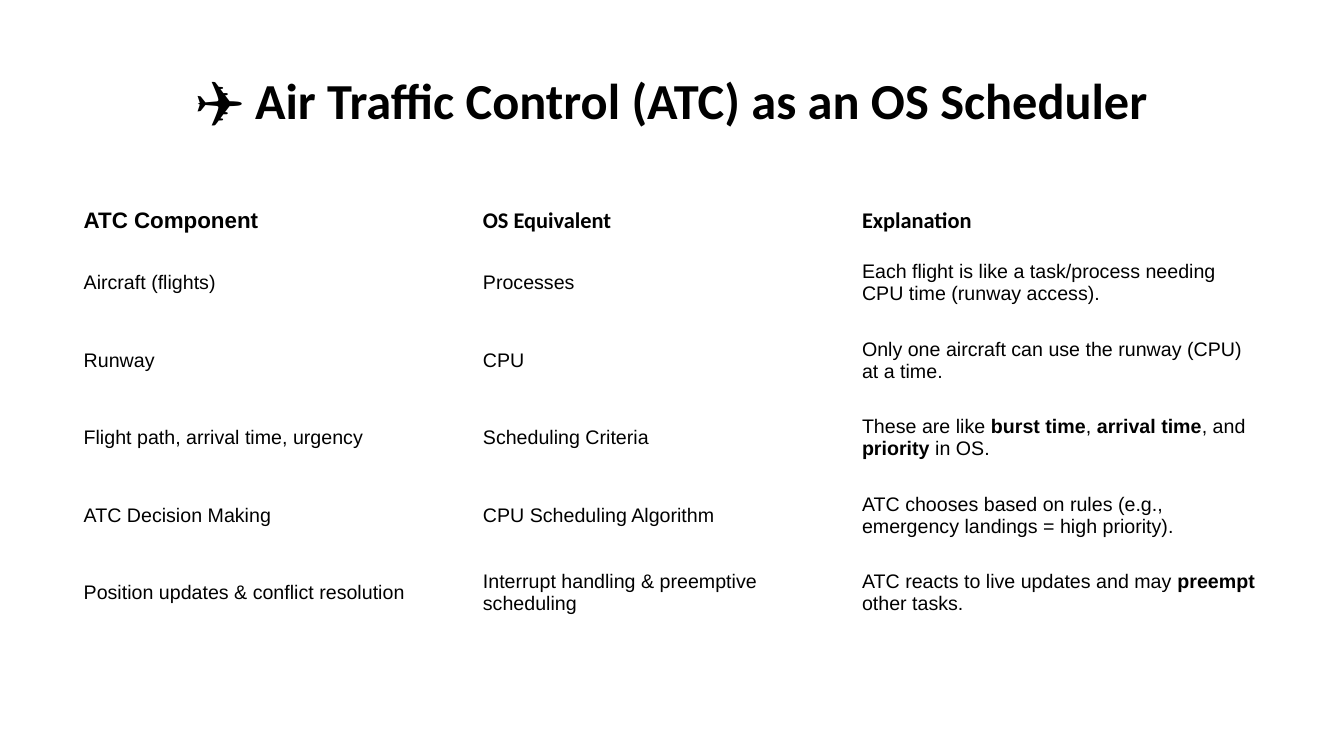
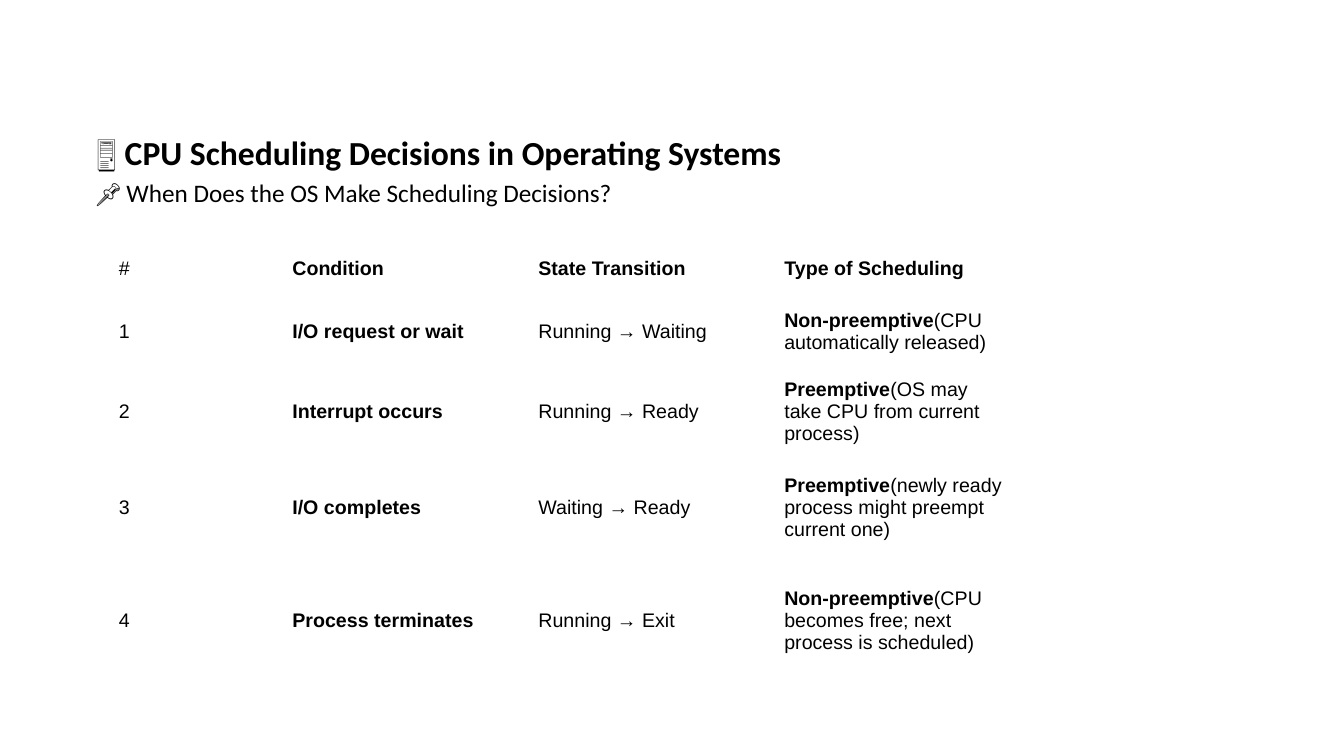
from lxml import etree
from pptx import Presentation
from pptx.dml.color import RGBColor
from pptx.enum.text import MSO_ANCHOR, MSO_AUTO_SIZE, PP_ALIGN
from pptx.oxml.ns import qn
from pptx.util import Inches, Pt

BLACK = RGBColor(0x00, 0x00, 0x00)
HEAD_FONT = "Calibri"
BODY_FONT = "Arial"
LEFT, WIDTH = 0.73, 11.87

# Content: text between ** marks is bold
ATC_TITLE = "✈️ **Air Traffic Control (ATC) as an OS Scheduler**"
ATC_ROWS = [
    ("**ATC Component**", "**OS Equivalent**", "**Explanation**"),
    ("Aircraft (flights)", "Processes",
     "Each flight is like a task/process needing CPU time (runway access)."),
    ("Runway", "CPU", "Only one aircraft can use the runway (CPU) at a time."),
    ("Flight path, arrival time, urgency", "Scheduling Criteria",
     "These are like **burst time**, **arrival time**, and **priority** in OS."),
    ("ATC Decision Making", "CPU Scheduling Algorithm",
     "ATC chooses based on rules (e.g., emergency landings = high priority)."),
    ("Position updates & conflict resolution",
     "Interrupt handling & preemptive scheduling",
     "ATC reacts to live updates and may **preempt** other tasks."),
]
CPU_HEADINGS = [
    ("🖥️ **CPU Scheduling Decisions in Operating Systems**", 24),
    ("📌 When Does the OS Make Scheduling Decisions?", 18),
]
CPU_ROWS = [
    ("#", "**Condition**", "**State Transition**", "**Type of Scheduling**"),
    ("1", "**I/O request or wait**", "Running → Waiting",
     "**Non-preemptive**(CPU automatically released)"),
    ("2", "**Interrupt occurs**", "Running → Ready",
     "**Preemptive**(OS may take CPU from current process)"),
    ("3", "**I/O completes**", "Waiting → Ready",
     "**Preemptive**(newly ready process might preempt current one)"),
    ("4", "**Process terminates**", "Running → Exit",
     "**Non-preemptive**(CPU becomes free; next process is scheduled)"),
]


def write(para, text, size, font):
    """Fill a paragraph, making every second ** part bold."""
    for index, part in enumerate(text.split("**")):
        if part:
            span = para.add_run()
            span.text = part
            span.font.name = font
            span.font.size = Pt(size)
            span.font.bold = index % 2 == 1
            span.font.color.rgb = BLACK


def place(box, top, height):
    """Move a placeholder into the shared text column."""
    box.left, box.top = Inches(LEFT), Inches(top)
    box.width, box.height = Inches(WIDTH), Inches(height)
    box.text_frame.auto_size = MSO_AUTO_SIZE.NONE
    box.text_frame.word_wrap = True


def add_plain_table(page, rows, left, top, widths, heights, styles=None):
    """Add an unfilled table; styles maps (row, column) to (size, font)."""
    frame = page.shapes.add_table(
        len(rows), len(widths), Inches(left), Inches(top),
        Inches(sum(widths)), Inches(sum(heights)))
    table = frame.table
    table.first_row = table.horz_banding = False
    for column, width in zip(table.columns, widths):
        column.width = Inches(width)
    for r, (texts, height) in enumerate(zip(rows, heights)):
        table.rows[r].height = Inches(height)
        for c, text in enumerate(texts):
            cell = table.cell(r, c)
            cell.fill.background()
            cell.vertical_anchor = MSO_ANCHOR.MIDDLE
            size, font = (styles or {}).get((r, c), (14, BODY_FONT))
            write(cell.text_frame.paragraphs[0], text, size, font)


def build_atc(deck):
    page = deck.slides.add_slide(deck.slide_layouts[5])
    # Title
    title = page.shapes.title
    place(title, 0.4, 1.18)
    title.text_frame.vertical_anchor = MSO_ANCHOR.MIDDLE
    para = title.text_frame.paragraphs[0]
    para.alignment = PP_ALIGN.CENTER
    write(para, ATC_TITLE, 36, HEAD_FONT)
    # Comparison table
    header = {(0, 0): (16, BODY_FONT), (0, 1): (16, HEAD_FONT),
              (0, 2): (16, HEAD_FONT)}
    add_plain_table(page, ATC_ROWS, LEFT, 1.97, [3.96, 3.76, 4.15],
                    [0.45] + [0.77] * 5, header)


def build_cpu(deck):
    page = deck.slides.add_slide(deck.slide_layouts[1])
    title = page.shapes.title
    title.element.getparent().remove(title.element)
    # Headings
    body = page.placeholders[1]
    place(body, 1.26, 1.0)
    frame = body.text_frame
    for index, (text, size) in enumerate(CPU_HEADINGS):
        para = frame.add_paragraph() if index else frame.paragraphs[0]
        props = para._p.get_or_add_pPr()
        props.set("marL", str(Inches(0.12)))
        props.set("indent", "0")
        etree.SubElement(props, qn("a:buNone"))
        para.space_before = Pt(3.6 if index else 0)
        write(para, text, size, HEAD_FONT)
    # Decision table
    add_plain_table(page, CPU_ROWS, 1.08, 2.44, [1.72] + [2.44] * 3,
                    [0.46, 0.79, 0.79, 1.12, 1.12])


def main():
    deck = Presentation()
    deck.slide_width, deck.slide_height = Inches(13.33), Inches(7.5)
    build_atc(deck)
    build_cpu(deck)
    deck.save("out.pptx")


if __name__ == "__main__":
    main()
